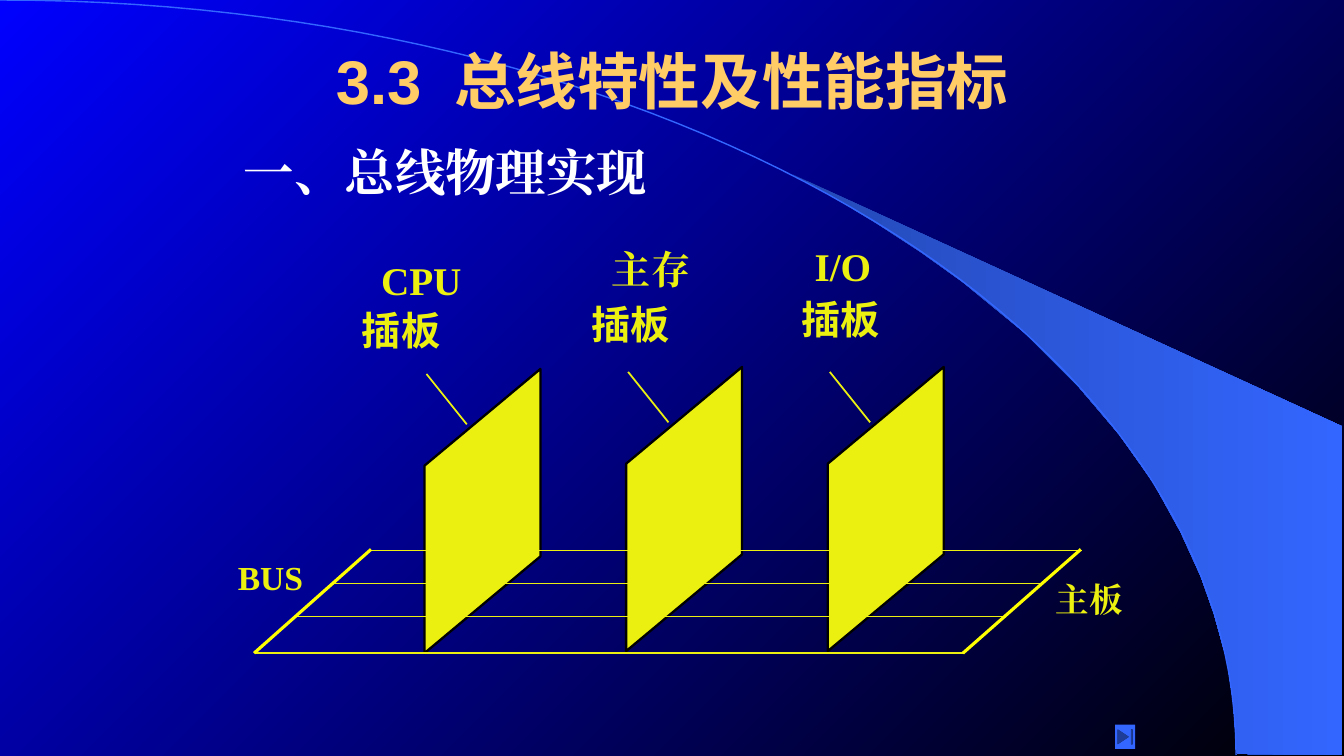
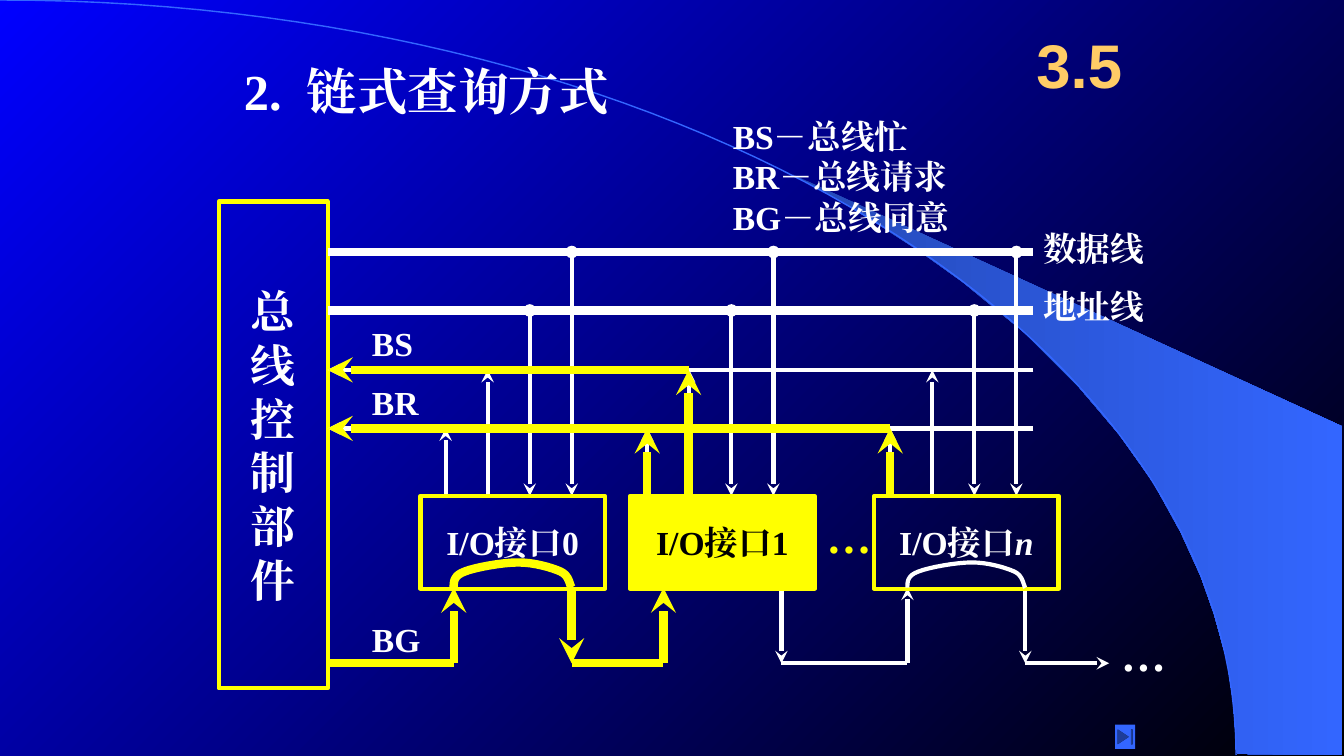
from pptx import Presentation
from pptx.dml.color import RGBColor
from pptx.enum.shapes import MSO_CONNECTOR, MSO_SHAPE
from pptx.enum.text import MSO_ANCHOR, PP_ALIGN
from pptx.oxml.ns import qn
from pptx.util import Inches, Pt
from lxml.etree import SubElement

BLUE = RGBColor(0x00, 0x00, 0xFF)
BLACK = RGBColor(0x00, 0x00, 0x00)
WHITE = RGBColor(0xFF, 0xFF, 0xFF)
DEEP = RGBColor(0x24, 0x49, 0xB6)
ACCENT = RGBColor(0x33, 0x66, 0xFF)
GOLD = RGBColor(0xFF, 0xCC, 0x66)
LEMON = RGBColor(0xEB, 0xF0, 0x10)
YELLOW = RGBColor(0xFF, 0xFF, 0x00)
SERIF, SANS, CJK = "Times New Roman", "Arial", "Noto Sans CJK SC"
NO_INSETS = (0, 0, 0, 0)
INSETS = (0.1, 0.05, 0.1, 0.05)

# Shared decoration
ARC = [(0, 0), (6.77, 0), (12.26, 3.35), (12.26, 7.49)]
SWOOSH = [(12.27, 7.48), (13.31, 7.49), (13.31, 4.23), (7.86, 1.73), (8.32, 1.99),
          (8.7, 2.22), (9.13, 2.5), (9.55, 2.8), (10.16, 3.3), (10.7, 3.84),
          (11.1, 4.31), (11.44, 4.79), (11.71, 5.28), (11.91, 5.72),
          (12.04, 6.09), (12.17, 6.56), (12.23, 6.96)]

# Slide 1: board left and top, then name and place of each label line
BOARDS = [
    (4.21, 3.66, ("CPU", 3.78, 2.54), (3.59, 3.04)),
    (6.21, 3.64, ("主存", 6.07, 2.43), (5.87, 2.98)),
    (8.21, 3.64, ("I/O", 8.08, 2.4), (7.95, 2.93)),
]
BUS_LINES = [(3.66, 10.73, 5.46, 0.75), (3.3, 10.34, 5.79, 0.75),
             (2.94, 9.97, 6.12, 0.75), (2.53, 9.56, 6.48, 1.63)]
BUS_SIDES = [(3.68, 2.52), (10.72, 9.55)]
BUS_LABELS = [("BUS", 2.26, 5.48, 0.85), ("主板", 10.37, 5.69, 0.87)]

# Slide 2
BUS_LEFT, BUS_RIGHT = 3.25, 10.25
DATA_Y, ADDRESS_Y, BS_Y, BR_Y = 2.5, 3.08, 3.67, 4.25
BOX_TOP, BOX_W, BOX_H = 4.92, 1.83, 0.92
BOX_BOTTOM, GRANT_Y = 5.83, 6.58
PORT_STEP, GRANT_SPAN = 0.417, 1.17
# left edge, first port, grant input, colour of the grant hump
INTERFACES = [(4.17, 4.42, 4.5, YELLOW), (6.25, 6.42, 6.58, None), (8.67, 8.83, 9, WHITE)]
HUMP = [(0, 0.25), (0, 0.19), (0, 0.13), (0.11, 0.09), (0.21, 0.05), (0.48, 0),
        (0.64, 0), (0.8, 0), (0.97, 0.05), (1.06, 0.09), (1.15, 0.13),
        (1.15, 0.23), (1.17, 0.25)]
LABELS = [("BS", 3.59, 3.15, 0.61), ("BR", 3.59, 3.74, 0.66), ("BG", 3.59, 6.09, 0.68),
          ("数据线", 10.25, 2.21, 1.21), ("地址线", 10.25, 2.79, 1.21)]
ELLIPSES = [(8.1, 5, YELLOW), (11.02, 6.17, WHITE)]
LEGEND = ["BS－总线忙", "BR－总线请求", "BG－总线同意"]
# start, end, arrowhead at the end
WHITE_GRANT = [
    ((7.75, BOX_BOTTOM), (7.75, GRANT_Y), True),
    ((7.75, GRANT_Y), (9, GRANT_Y), False),
    ((9, GRANT_Y), (9, BOX_BOTTOM), True),
    ((10.17, BOX_BOTTOM), (10.17, GRANT_Y), True),
    ((10.17, GRANT_Y), (11, GRANT_Y), True),
]
ACTIVE = [
    ((6.83, BS_Y), (BUS_LEFT, BS_Y), True),
    ((8.83, BR_Y), (BUS_LEFT, BR_Y), True),
    ((6.42, BOX_TOP), (6.42, BR_Y), True),
    ((8.83, BOX_TOP), (8.83, BR_Y), True),
    ((6.83, BOX_TOP), (6.83, BS_Y), True),
    ((BUS_LEFT, GRANT_Y), (4.5, GRANT_Y), False),
    ((4.5, GRANT_Y), (4.5, BOX_BOTTOM), True),
    ((5.67, BOX_BOTTOM), (5.67, GRANT_Y), True),
    ((5.67, GRANT_Y), (6.58, GRANT_Y), False),
    ((6.58, GRANT_Y), (6.58, BOX_BOTTOM), True),
]


def curve(controls, steps=24):
    """Points along a chain of cubic Bezier pieces that share their end points."""
    points = [controls[0]]
    for i in range(0, len(controls) - 1, 3):
        for n in range(1, steps + 1):
            t = n / steps
            weights = ((1 - t) ** 3, 3 * t * (1 - t) ** 2, 3 * t * t * (1 - t), t ** 3)
            points.append(tuple(sum(w * c[axis] for w, c in zip(weights, controls[i:i + 4]))
                                for axis in (0, 1)))
    return points


def paint(sp, fill=None, line=None, width=1):
    sp.shadow.inherit = False
    if fill is None:
        sp.fill.background()
    else:
        sp.fill.solid()
        sp.fill.fore_color.rgb = fill
    if line is None:
        sp.line.fill.background()
    else:
        sp.line.color.rgb = line
        sp.line.width = Pt(width)
    return sp


def shade(fill, start, end, angle):
    fill.gradient()
    fill.gradient_angle = angle
    for stop, colour in zip(fill.gradient_stops, (start, end)):
        stop.color.rgb = colour


def outline(slide, points, closed=False, **look):
    points = [(Inches(x), Inches(y)) for x, y in points]
    builder = slide.shapes.build_freeform(*points[0])
    builder.add_line_segments(points[1:], close=closed)
    return paint(builder.convert_to_shape(), **look)


def shape(slide, kind, x, y, w, h, **look):
    return paint(slide.shapes.add_shape(kind, Inches(x), Inches(y), Inches(w), Inches(h)), **look)


def line(slide, start, end, colour, width, head=None, tail=None):
    c = slide.shapes.add_connector(MSO_CONNECTOR.STRAIGHT, *(Inches(v) for v in start + end))
    c.line.color.rgb = colour
    c.line.width = Pt(width)
    ln = c.line._get_or_add_ln()
    for tag, kind in (("a:headEnd", head), ("a:tailEnd", tail)):
        if kind:
            SubElement(ln, qn(tag), type=kind)
    SubElement(c.element.spPr, qn("a:effectLst"))


def write(sp, lines, size, colour, font=SERIF, align=PP_ALIGN.LEFT, more=(), italic=False,
          insets=INSETS, anchor=MSO_ANCHOR.TOP, wrap=False):
    """Fill a shape with lines; more holds further runs of the first line."""
    tf = sp.text_frame
    tf.word_wrap = wrap
    tf.vertical_anchor = anchor
    tf.margin_left, tf.margin_top, tf.margin_right, tf.margin_bottom = map(Inches, insets)
    tf.text = "\n".join(lines)
    for text in more:
        r = tf.paragraphs[0].add_run()
        r.text = text
        r.font.italic = italic
    for p in tf.paragraphs:
        p.alignment = align
        p.line_spacing = Pt(size * 1.2)
        for r in p.runs:
            r.font.size = Pt(size)
            r.font.bold = True
            r.font.color.rgb = colour
            r.font.name = font
            rPr = r.font._element
            SubElement(rPr, qn("a:ea"), typeface=font)
            if r.text == " ":
                rPr.set("spc", str(size * 25))


def text(slide, lines, x, y, w, h, size, colour, **style):
    box = slide.shapes.add_textbox(Inches(x), Inches(y), Inches(w), Inches(h))
    write(box, lines, size, colour, **style)


def title(slide, number, x, w, h, more=()):
    text(slide, [number], x, 0.17, w, h, 44, GOLD, font=SANS, more=more, wrap=True,
         align=PP_ALIGN.CENTER, anchor=MSO_ANCHOR.MIDDLE)


def centred(sp, lines, size, colour, **style):
    write(sp, lines, size, colour, align=PP_ALIGN.CENTER, anchor=MSO_ANCHOR.MIDDLE, **style)


def decorate_master(prs, slide):
    """Draw the shared background once and move it to the master."""
    master = prs.slide_master
    shade(master.background.fill, BLUE, BLACK, 315)
    swoosh = outline(slide, SWOOSH, closed=True)
    shade(swoosh.fill, DEEP, ACCENT, 0)
    for sp in (swoosh, outline(slide, curve(ARC, 60), line=ACCENT)):
        master.shapes.element.append(sp.element)


def build_boards(slide):
    title(slide, "3.3", 2.42, 8.5, 1.25, more=(" ", "总线特性及性能指标"))
    text(slide, ["一、总线物理实现"], 2.32, 1.35, 4.22, 0.7, 36, WHITE)
    for x, y, (name, name_x, name_y), (card_x, card_y) in BOARDS:
        text(slide, [name], name_x, name_y, 0.8, 0.47, 28, LEMON, insets=NO_INSETS)
        text(slide, ["插板"], card_x, card_y, 0.8, 0.47, 28, LEMON, font=CJK, insets=NO_INSETS)
        right = x + 1.15
        outline(slide, [(x, y + 0.96), (right, y), (right, y + 1.86), (x, y + 2.82)],
                closed=True, fill=LEMON, line=BLACK, width=1.63)
        line(slide, (x + 0.02, y + 0.05), (x + 0.42, y + 0.55), LEMON, 1.25)
    for left, right, y, width in BUS_LINES:
        line(slide, (left, y), (right, y), LEMON, width)
    for top_x, bottom_x in BUS_SIDES:
        line(slide, (top_x, 5.45), (bottom_x, 6.48), YELLOW, 2.25)
    for name, x, y, w in BUS_LABELS:
        text(slide, [name], x, y, w, 0.5, 24, LEMON)


def build_chain(slide):
    title(slide, "3.5", 10.08, 1.25, 0.92)
    text(slide, ["2."], 2.32, 0.55, 4.82, 0.7, 36, WHITE, more=(" ", "链式查询方式"), wrap=True)
    text(slide, LEGEND, 7.17, 1.1, 2.97, 1.32, 24, WHITE, wrap=True)
    controller = shape(slide, MSO_SHAPE.RECTANGLE, 2.17, 2, 1.08, 4.83, line=YELLOW, width=3)
    centred(controller, "总线控制部件", 32, WHITE)
    for y in (DATA_Y, ADDRESS_Y):
        line(slide, (BUS_LEFT, y), (BUS_RIGHT, y), WHITE, 6)
    for y in (BS_Y, BR_Y):
        line(slide, (BUS_RIGHT, y), (BUS_LEFT, y), WHITE, 3, tail="stealth")
    for _, first_port, grant_x, hump in INTERFACES:
        for i, y in enumerate((BR_Y, BS_Y, ADDRESS_Y, DATA_Y)):
            x = first_port + i * PORT_STEP
            if i < 2:
                line(slide, (x, BOX_TOP), (x, y), WHITE, 3, tail="stealth")
            else:
                line(slide, (x, y), (x, BOX_TOP), WHITE, 3, head="oval", tail="stealth")
    for start, end, arrow in WHITE_GRANT:
        line(slide, start, end, WHITE, 3, tail="stealth" if arrow else None)
    for start, end, arrow in ACTIVE:
        line(slide, start, end, YELLOW, 6, tail="stealth" if arrow else None)
    for i, (left, _, grant_x, hump) in enumerate(INTERFACES):
        chosen = hump is None
        box = shape(slide, MSO_SHAPE.RECTANGLE, left, BOX_TOP, BOX_W, BOX_H,
                    fill=YELLOW if chosen else None, line=YELLOW, width=3)
        last = i == len(INTERFACES) - 1
        centred(box, ["I/O接口"], 24, BLACK if chosen else WHITE,
                more=("n" if last else str(i),), italic=last)
        if not chosen:
            points = [(grant_x + x, BOX_BOTTOM - 0.25 + y) for x, y in curve(HUMP, 8)]
            outline(slide, points, line=hump, width=6 if hump == YELLOW else 3)
    for name, x, y, w in LABELS:
        text(slide, [name], x, y, w, 0.5, 24, WHITE)
    for x, y, colour in ELLIPSES:
        text(slide, ["…"], x, y, 0.65, 0.63, 32, colour)


def main():
    prs = Presentation()
    prs.slide_width, prs.slide_height = Inches(13.33), Inches(7.5)
    for i, build in enumerate((build_boards, build_chain)):
        slide = prs.slides.add_slide(prs.slide_layouts[6])
        if i == 0:
            decorate_master(prs, slide)
        build(slide)
        shape(slide, MSO_SHAPE.ACTION_BUTTON_END, 11.06, 7.19, 0.2, 0.24, fill=ACCENT)
    prs.save("out.pptx")


if __name__ == "__main__":
    main()
